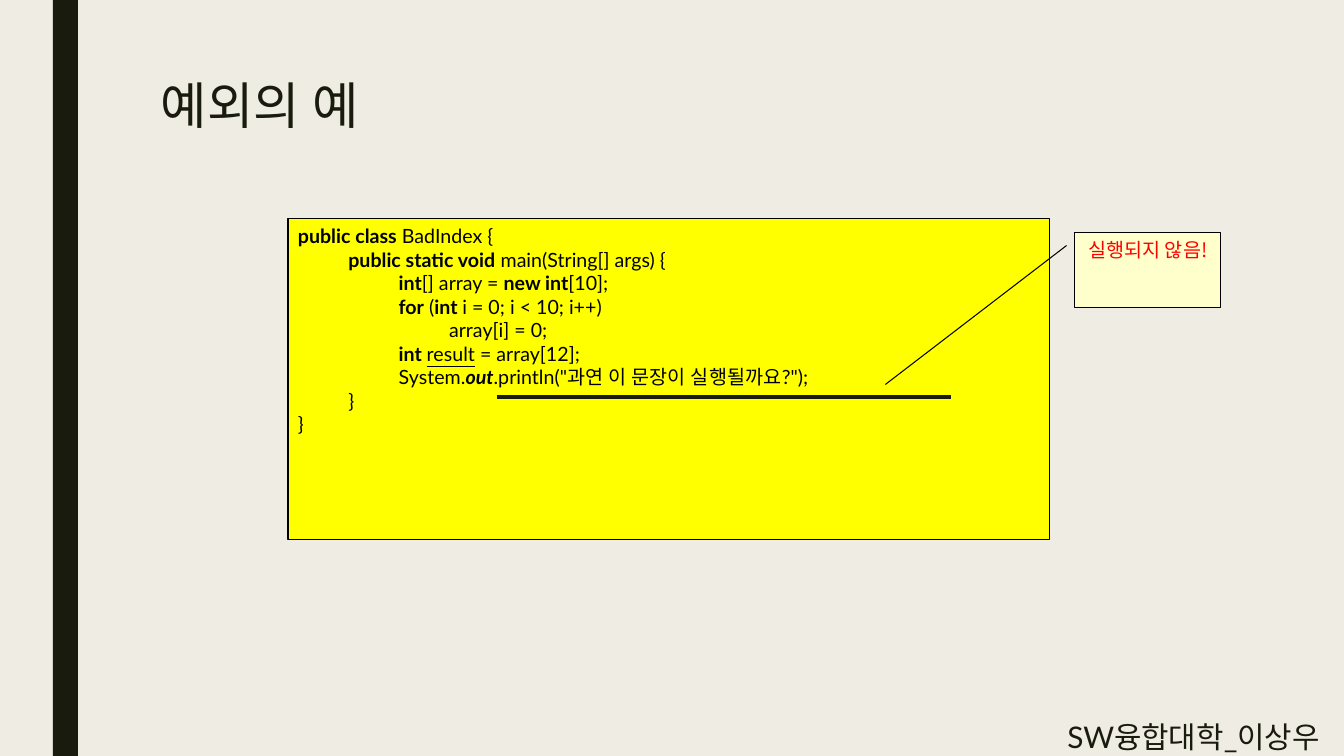
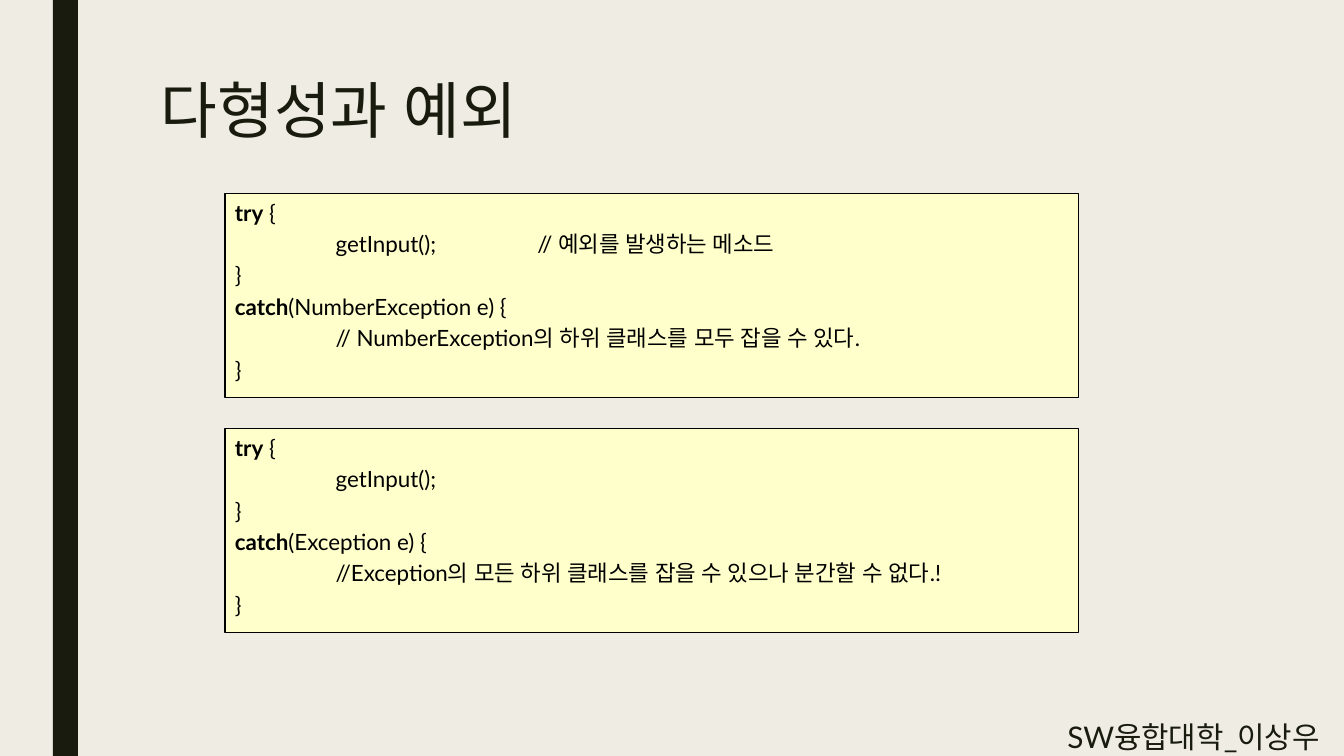
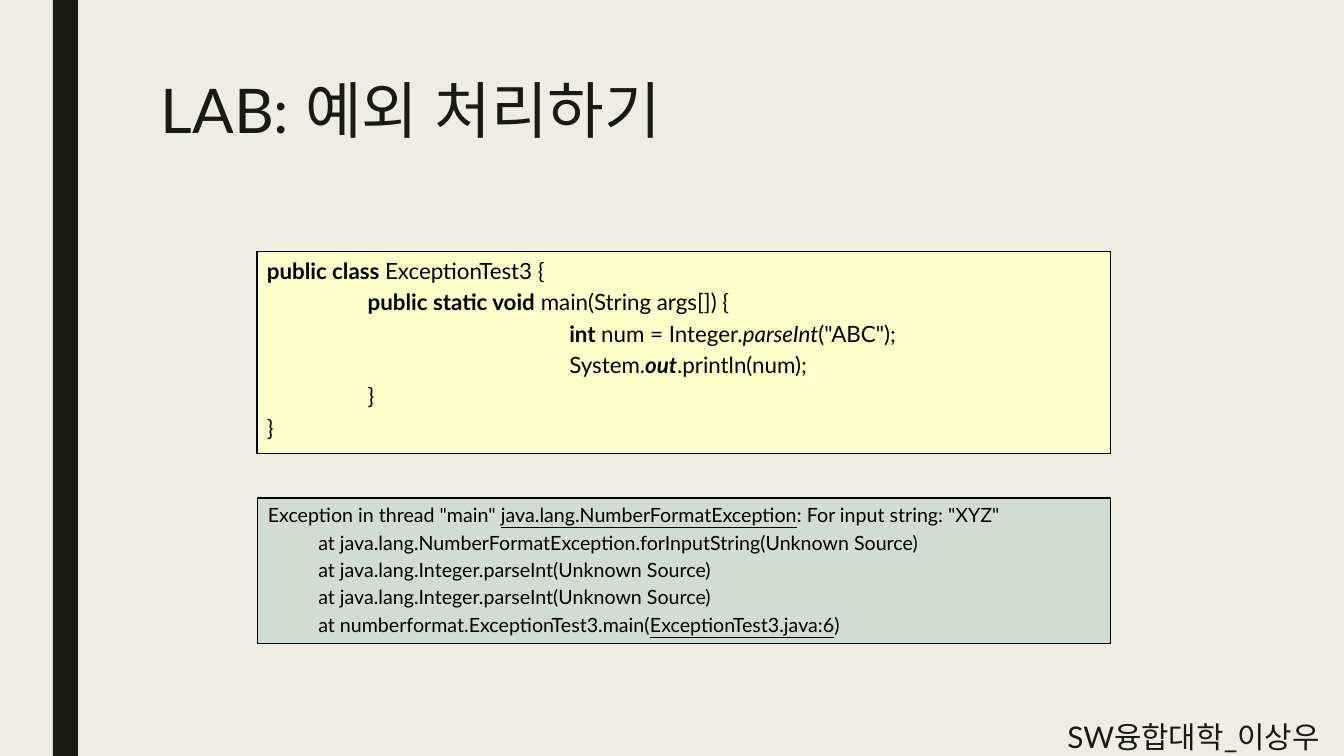
from lxml.etree import SubElement
from pptx import Presentation
from pptx.dml.color import RGBColor
from pptx.enum.shapes import MSO_CONNECTOR as Connector, MSO_SHAPE as Shape
from pptx.enum.text import MSO_ANCHOR as Anchor, PP_ALIGN as Align
from pptx.oxml.ns import qn
from pptx.util import Emu, Pt

PIXELS_PER_INCH = 100.8
INK, PAPER, BLACK, RED = "191B0E", "EFEDE3", "000000", "FF0000"
YELLOW, CREAM, SAGE = "FFFF00", "FFFFCC", "D1DDD2"
LATIN, KOREAN = "Lato", "Noto Sans CJK KR"
FOOTER = "SW융합대학_이상우"


def px(*lengths):
    """Turn pixels into EMU lengths."""
    return [Emu(round(length * 914400 / PIXELS_PER_INCH)) for length in lengths]


def color(value):
    """Turn a hex string into a colour."""
    return RGBColor.from_string(value)


class Lecture:
    """Hold the shared style and the slide being filled."""

    def __init__(self):
        """Start a deck with its size and background."""
        self.deck = Presentation()
        self.deck.slide_width, self.deck.slide_height = px(1344, 756)
        background = self.deck.slide_master.background.fill
        background.solid()
        background.fore_color.rgb = color(PAPER)
        self.page = None

    def start(self, title, size=44):
        """Add a slide with its side band, title and footer."""
        self.page = self.deck.slides.add_slide(self.deck.slide_layouts[6])
        self.panel((53, 0, 25, 756), INK)
        self.label((151, 76, 1058, 163), title, size, 0.89)
        self.label((1043, 709, 301, 47), FOOTER, 21.3, 1.12, Align.CENTER)

    def add_span(self, para, text, size, hue, style="", face=LATIN):
        """Add one run; style may hold b, i and u."""
        span = para.add_run()
        span.text = text
        font = span.font
        font.name, font.size = face, Pt(size)
        font.bold, font.italic, font.underline = (mark in style for mark in "biu")
        font.color.rgb = color(hue)
        SubElement(font._element, qn("a:ea"), typeface=face)

    def label(self, area, text, size, spacing, align=Align.LEFT):
        """Add plain text without a frame."""
        box = self.page.shapes.add_textbox(*px(*area))
        box.text_frame.word_wrap = True
        para = box.text_frame.paragraphs[0]
        para.alignment, para.line_spacing = align, spacing
        self.add_span(para, text, size, INK)

    def panel(self, area, fill, line=None, kind=Shape.RECTANGLE):
        """Add a filled shape and return it."""
        box = self.page.shapes.add_shape(kind, *px(*area))
        box.shadow.inherit = False
        box.fill.solid()
        box.fill.fore_color.rgb = color(fill)
        if line:
            box.line.color.rgb = color(line)
            box.line.width = Pt(0.75)
        else:
            box.line.fill.background()
        box.text_frame.vertical_anchor = Anchor.TOP
        return box

    def code(self, area, fill, lines, size, tab, gap=0.2):
        """Add framed code; tab is in pixels, gap in parts of the text size."""
        frame = self.panel(area, fill, BLACK).text_frame
        for number, line in enumerate(lines):
            para = frame.add_paragraph() if number else frame.paragraphs[0]
            para.alignment, para.space_before = Align.LEFT, Pt(size * gap)
            stops = SubElement(para._p.get_or_add_pPr(), qn("a:tabLst"))
            for stop in px(*(tab * step for step in range(1, 5))):
                SubElement(stops, qn("a:tab"), pos=str(stop), algn="l")
            for text, style in line:
                self.add_span(para, text, size, BLACK, style)

    def callout(self, area, text, pointer):
        """Add a framed remark with a pointer line."""
        box = self.panel(area, CREAM, BLACK, Shape.LINE_CALLOUT_1)
        for number, value in enumerate(pointer):
            box.adjustments[number] = value
        box.text_frame.word_wrap = False
        para = box.text_frame.paragraphs[0]
        para.alignment = Align.CENTER
        self.add_span(para, text, 14, RED, face=KOREAN)

    def rule(self, left, right, y):
        """Add a thick horizontal line."""
        line = self.page.shapes.add_connector(
            Connector.STRAIGHT, *px(left, y, right, y))
        line.line.color.rgb = color(INK)
        line.line.width = Pt(2.25)
        SubElement(line._element.spPr, qn("a:effectLst"))


def catch_example(comment, exception, remark):
    """Return the lines of a try and catch example."""
    return [
        [("try", "b"), (" {", "")],
        [("\tgetInput();" + comment, "")],
        [("}", "")],
        [("catch", "b"), (f"({exception} e) {{", "")],
        [("\t//" + remark, "")],
        [("}", "")],
    ]


BAD_INDEX = [
    [("public class ", "b"), ("BadIndex {", "")],
    [("\t", ""), ("public static void", "b"), (" main(String[] args) {", "")],
    [("\t\t", ""), ("int", "b"), ("[] array = ", ""), ("new int", "b"), ("[10];", "")],
    [("\t\t", ""), ("for", "b"), (" (", ""), ("int ", "b"), ("i = 0; i < 10; i++)", "")],
    [("\t\t\tarray[i] = 0;", "")],
    [("\t\t", ""), ("int ", "b"), ("result", "u"), (" = array[12];", "")],
    [("\t\tSystem.", ""), ("out", "bi"), ('.println("과연 이 문장이 실행될까요?");', "")],
    [("\t}", "")],
    [("}", "")],
]
NUMBER_TEST = [
    [("public class ", "b"), ("ExceptionTest3 {", "")],
    [("\t", ""), ("public static void", "b"), (" main(String args[]) {", "")],
    [("\t\t\t", ""), ("int ", "b"), ("num = Integer.", ""), ("parseInt", "i"),
     ('("ABC");', "")],
    [("\t\t\tSystem.", ""), ("out", "bi"), (".println(num);", "")],
    [("\t}", "")],
    [("}", "")],
]
PARSE_CALL = [("\tat java.lang.Integer.parseInt(Unknown Source)", "")]
STACK_TRACE = [
    [('Exception in thread "main" ', ""), ("java.lang.NumberFormatException", "u"),
     (': For input string: "XYZ"', "")],
    [("\tat java.lang.NumberFormatException.forInputString(Unknown Source)", "")],
    PARSE_CALL,
    PARSE_CALL,
    [("\tat numberformat.ExceptionTest3.main(", ""), ("ExceptionTest3.java:6", "u"),
     (")", "")],
]
CATCHES = [
    ("\t\t// 예외를 발생하는 메소드", "NumberException",
     " NumberException의 하위 클래스를 모두 잡을 수 있다."),
    ("", "Exception", "Exception의 모든 하위 클래스를 잡을 수 있으나 분간할 수 없다.!"),
]
HALF_INCH, INCH = 50.4, 100.8

lecture = Lecture()

lecture.start("예외의 예", 36)
lecture.code((288, 219, 762, 321), YELLOW, BAD_INDEX, 14, HALF_INCH, gap=0)
lecture.rule(497, 951, 397)
lecture.callout((1075, 233, 146, 75), "실행되지 않음!", (0.168, -0.058, 2.021, -1.299))

lecture.start("다형성과 예외")
for row, example in enumerate(CATCHES):
    lecture.code((225, 194 + 235 * row, 854, 204), CREAM,
                 catch_example(*example), 16, INCH)

lecture.start("LAB: 예외 처리하기")
lecture.code((257, 252, 854, 202), CREAM, NUMBER_TEST, 16, INCH)
lecture.code((258, 498, 853, 146), SAGE, STACK_TRACE, 14, HALF_INCH)

lecture.deck.save("out.pptx")
